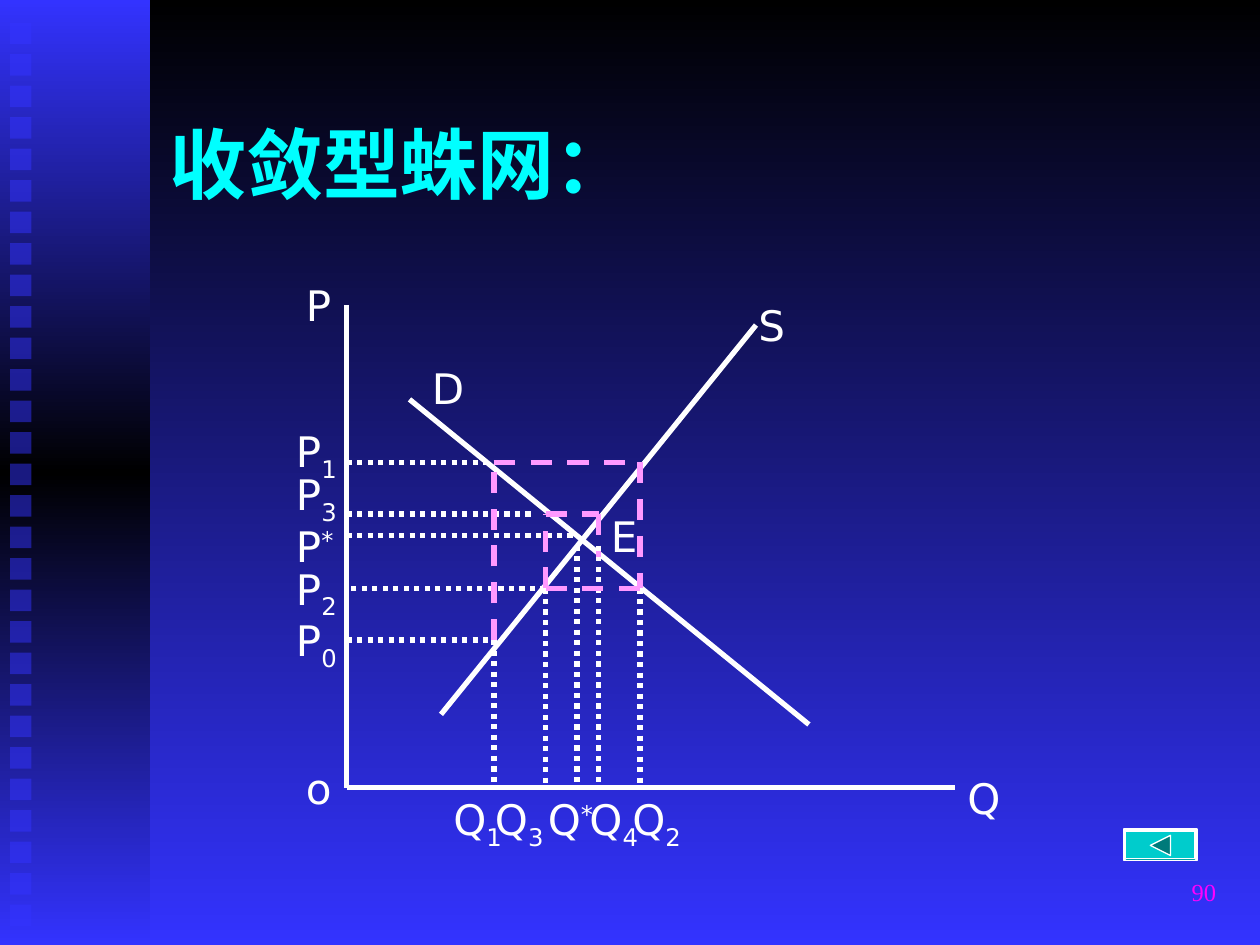
import copy
from dataclasses import dataclass

import pptx
import pptx.dml.color
import pptx.enum.dml
import pptx.enum.shapes
import pptx.enum.text
import pptx.oxml
import pptx.oxml.ns
import pptx.util
from pptx.util import Inches

SHAPE = pptx.enum.shapes.MSO_SHAPE
DASH = pptx.enum.dml.MSO_LINE.DASH
DOT = pptx.enum.dml.MSO_LINE.ROUND_DOT
ALIGN = pptx.enum.text.PP_ALIGN
ANCHOR = pptx.enum.text.MSO_ANCHOR
qn = pptx.oxml.ns.qn


@dataclass(frozen=True)
class Theme:
    black: str = "000000"
    blue: str = "3333FF"
    white: str = "FFFFFF"
    title: str = "00FFFF"
    cobweb: str = "FF99FF"
    button: str = "00CCCC"
    button_arrow: str = "007A7A"
    number: str = "FF00FF"
    title_font: str = "Times New Roman"
    label_font: str = "DejaVu Sans"
    title_size: int = 44
    label_size: int = 24
    number_size: int = 14
    line_width: float = 3
    thin_line: float = 0.75


THEME = Theme()


def color(value):
    return pptx.dml.color.RGBColor.from_string(value)


def fill_gradient(fill, element, colors):
    fill.gradient()
    fill.gradient_angle = 270
    stop_list = next(element.iter(qn("a:gsLst")))
    for _ in colors[2:]:
        stop_list.append(copy.deepcopy(stop_list[0]))
    for index, (stop, value) in enumerate(zip(fill.gradient_stops, colors)):
        stop.position = index / (len(colors) - 1)
        stop.color.rgb = color(value)


def add_rectangle(slide, left, top, width, height, preset=SHAPE.RECTANGLE):
    shape = slide.shapes.add_shape(
        preset, Inches(left), Inches(top), Inches(width), Inches(height))
    shape.shadow.inherit = False
    shape.line.fill.background()
    return shape


def add_side_band(slide):
    band = add_rectangle(slide, 0, 0, 1.19, 7.5)
    fill_gradient(band.fill, band._element, [THEME.blue, THEME.black, THEME.blue])
    for row in range(29):
        square = add_rectangle(slide, 0.08, 0.18 + 0.25 * row, 0.17, 0.17)
        square.fill.solid()
        square.fill.fore_color.rgb = color(THEME.blue)
        solid_color = next(square._element.spPr.iter(qn("a:srgbClr")))
        pptx.oxml.ns  # noqa
        alpha = pptx.oxml.parse_xml(
            '<a:alpha xmlns:a="http://schemas.openxmlformats.org/drawingml/2006/main" val="50000"/>')
        solid_color.append(alpha)


def add_line(slide, start, end, line_color=THEME.white, dash=None):
    line = slide.shapes.add_connector(
        pptx.enum.shapes.MSO_CONNECTOR.STRAIGHT, *map(Inches, (*start, *end)))
    line.line.color.rgb = color(line_color)
    line.line.width = pptx.util.Pt(THEME.line_width)
    if dash:
        line.line.dash_style = dash
    line._element.spPr.append(pptx.oxml.parse_xml(
        '<a:effectLst xmlns:a="http://schemas.openxmlformats.org/drawingml/2006/main"/>'))


def add_text(slide, text, left, top, width, height, size, font_name, font_color):
    box = slide.shapes.add_textbox(
        Inches(left), Inches(top), Inches(width), Inches(height))
    box.text_frame.word_wrap = True
    paragraph = box.text_frame.paragraphs[0]
    paragraph.text = text
    format_run(paragraph.runs[0], size, font_name, font_color)
    return box


def format_run(run, size, font_name, font_color):
    run.font.size = pptx.util.Pt(size)
    run.font.name = font_name
    run.font.color.rgb = color(font_color)


def add_label(slide, text, left, top):
    style = (THEME.label_size, THEME.label_font, THEME.white)
    letter, script = text[0], text[1:]
    width, height = (0.92, 0.56) if script else (0.58, 0.5)
    box = add_text(slide, letter, left, top, width, height, *style)
    box.text_frame.auto_size = pptx.enum.text.MSO_AUTO_SIZE.SHAPE_TO_FIT_TEXT
    if script:
        run = box.text_frame.paragraphs[0].add_run()
        run.text = script
        format_run(run, *style)
        run.font._element.set("baseline", "30000" if script == "*" else "-25000")


def add_back_button(slide):
    button = add_rectangle(slide, 8.92, 6.58, 0.58, 0.25, SHAPE.BEVEL)
    button.adjustments[0] = 0.06
    builder = slide.shapes.build_freeform(Inches(9.13), Inches(6.71))
    builder.add_line_segments(
        [(Inches(9.29), Inches(6.63)), (Inches(9.29), Inches(6.79))])
    arrow = builder.convert_to_shape()
    arrow.shadow.inherit = False
    for shape, value in ((button, THEME.button), (arrow, THEME.button_arrow)):
        shape.fill.solid()
        shape.fill.fore_color.rgb = color(value)
        shape.line.color.rgb = color(THEME.white)
        shape.line.width = pptx.util.Pt(THEME.thin_line)


def add_diagram(slide):
    axis_left, axis_bottom = 2.75, 6.25
    origin = (axis_left, axis_bottom)
    solid_lines = [
        ((axis_left, 2.42), origin), (origin, (7.58, axis_bottom)),
        ((3.25, 3.17), (6.42, 5.75)), ((3.5, 5.67), (6, 2.58)),
    ]
    for start, end in solid_lines:
        add_line(slide, start, end)

    price_guides = [(3.67, 3.92), (4.08, 4.25), (4.25, 4.58), (5.08, 3.92)]
    for price, right in price_guides:
        add_line(slide, (axis_left, price), (right, price), dash=DOT)
    add_line(slide, (4.33, 4.67), (axis_left, 4.67), dash=DOT)
    quantity_guides = [(3.92, 5.08), (4.33, 4.67), (4.58, 4.33), (4.75, 4.33), (5.08, 4.67)]
    for quantity, top in quantity_guides:
        add_line(slide, (quantity, top), (quantity, axis_bottom), dash=DOT)

    cobweb = [
        ((3.92, 5.08), (3.92, 3.67)), ((3.92, 3.67), (5.08, 3.67)),
        ((5.08, 3.67), (5.08, 4.67)), ((4.33, 4.67), (5.17, 4.67)),
        ((4.33, 4.67), (4.33, 4.08)), ((4.33, 4.08), (4.75, 4.08)),
        ((4.75, 4.08), (4.75, 4.42)),
    ]
    for start, end in cobweb:
        add_line(slide, start, end, THEME.cobweb, DASH)

    labels = [("o", 2.33, 6), ("Q", 7.58, 6.08), ("P", 2.33, 2.17),
              ("E", 4.75, 4), ("D", 3.33, 2.83), ("S", 5.92, 2.33)]
    prices = {"P1": 3.33, "P3": 3.67, "P*": 4.08, "P2": 4.42, "P0": 4.83}
    quantities = {"Q1": 3.5, "Q3": 3.83, "Q*": 4.25, "Q4": 4.58, "Q2": 4.92}
    labels += [(text, 2.25, top) for text, top in prices.items()]
    labels += [(text, left, axis_bottom) for text, left in quantities.items()]
    for text, left, top in labels:
        add_label(slide, text, left, top)


def main():
    presentation = pptx.Presentation()
    presentation.slide_width = Inches(10)
    presentation.slide_height = Inches(7.5)
    slide = presentation.slides.add_slide(presentation.slide_layouts[6])
    fill_gradient(slide.background.fill, slide.element, [THEME.black, THEME.blue])
    add_side_band(slide)

    title = add_text(slide, "收敛型蛛网：", 1.25, 0.96, 8.5, 0.67,
                     THEME.title_size, THEME.title_font, THEME.title)
    title.text_frame.vertical_anchor = ANCHOR.MIDDLE
    title.text_frame.paragraphs[0].runs[0].font.bold = True

    add_diagram(slide)
    add_back_button(slide)
    number = add_text(slide, "90", 7.67, 6.83, 2.08, 0.5,
                      THEME.number_size, THEME.title_font, THEME.number)
    number.text_frame.vertical_anchor = ANCHOR.MIDDLE
    number.text_frame.paragraphs[0].alignment = ALIGN.RIGHT
    presentation.save("out.pptx")


if __name__ == "__main__":
    main()
